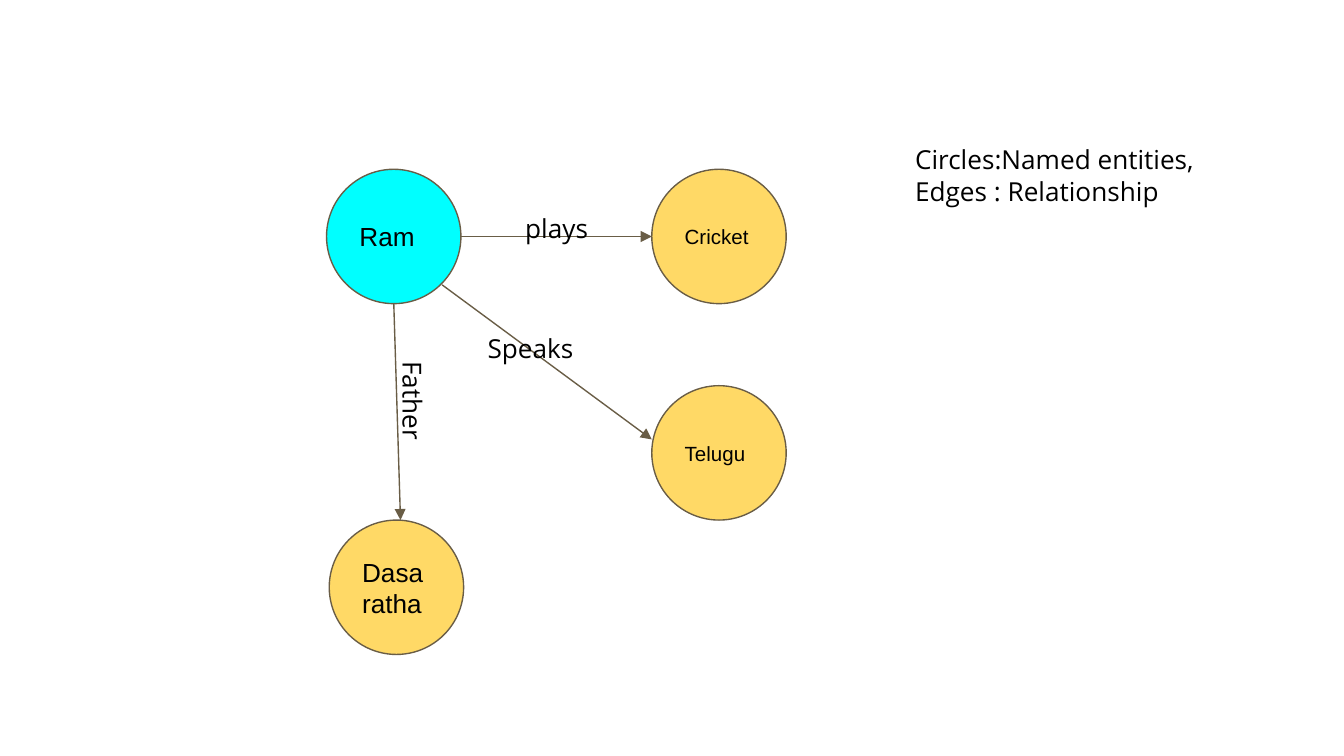
"""Build a slide with a small knowledge graph of named entities and relationships."""
from dataclasses import dataclass

from lxml import etree
from pptx import Presentation
from pptx import util as u
from pptx.dml.color import RGBColor
from pptx.enum import shapes, text
from pptx.oxml.ns import qn

COLUMNS = 10
ROWS = COLUMNS * 9 / 16
CELL = u.Inches(1)
INSET = u.Inches(0.1)
LINE_WIDTH = u.Pt(0.75)
BLACK = RGBColor(0x00, 0x00, 0x00)
CYAN = RGBColor(0x00, 0xFF, 0xFF)
YELLOW = RGBColor(0xFF, 0xD9, 0x66)
BROWN = RGBColor(0x69, 0x5D, 0x46)
ELLIPSE = shapes.MSO_SHAPE.OVAL
CONNECTOR = shapes.MSO_SHAPE.FLOWCHART_CONNECTOR


@dataclass(frozen=True)
class Entity:
    """A one-cell circle with a name."""
    name: str
    column: float
    row: float
    size: int = 11
    fill: RGBColor = YELLOW
    preset: shapes.MSO_SHAPE = ELLIPSE


@dataclass(frozen=True)
class Edge:
    """A straight line between two grid points."""
    start: tuple[float, float]
    end: tuple[float, float]
    arrow: bool = True


@dataclass(frozen=True)
class Label:
    """A text box with one paragraph per line."""
    lines: tuple[str, ...]
    column: float
    row: float
    columns: float
    rows: float = 0.44
    rotation: int = 0


ENTITIES = (
    Entity("Ram", 2.43, 1.26, 14, CYAN),
    Entity("Cricket", 4.85, 1.26),
    Entity("Telugu", 4.85, 2.87),
    Entity("Dasaratha", 2.45, 3.87, 14, preset=CONNECTOR),
)
EDGES = (
    Edge((3.43, 1.76), (4.85, 1.76), arrow=False),
    Edge((3.43, 1.76), (4.85, 1.76)),
    Edge((3.29, 2.12), (4.85, 3.27)),
    Edge((2.93, 2.26), (2.98, 3.87)),
)
LABELS = (
    Label(("plays",), 3.81, 1.48, 0.96),
    Label(("Speaks",), 3.53, 2.37, 0.96),
    Label(("Father",), 2.49, 2.95, 1.16, rotation=90),
    Label(("Circles:Named entities,", "Edges : Relationship"), 6.71, 0.97, 2.92, 0.67),
)


def grid(cells: float) -> u.Emu:
    """Turn a count of grid cells into a length."""
    return u.Emu(round(cells * CELL))


def write(frame, lines: tuple[str, ...], font: str, size: int, anchor) -> None:
    """Fill a text frame with left-aligned black lines."""
    frame.word_wrap = True
    frame.vertical_anchor = anchor
    frame.margin_left = frame.margin_right = INSET
    frame.margin_top = frame.margin_bottom = INSET
    for index, line in enumerate(lines):
        paragraph = frame.add_paragraph() if index else frame.paragraphs[0]
        paragraph.alignment = text.PP_ALIGN.LEFT
        run = paragraph.add_run()
        run.text = line
        run.font.name = font
        run.font.size = u.Pt(size)
        run.font.color.rgb = BLACK


def draw_entity(slide, entity: Entity) -> None:
    """Draw a circle with its name."""
    shape = slide.shapes.add_shape(
        entity.preset, grid(entity.column), grid(entity.row), CELL, CELL)
    shape.shadow.inherit = False
    shape.fill.solid()
    shape.fill.fore_color.rgb = entity.fill
    shape.line.color.rgb = BROWN
    shape.line.width = LINE_WIDTH
    write(shape.text_frame, (entity.name,), "Arial", entity.size, text.MSO_ANCHOR.MIDDLE)


def draw_edge(slide, edge: Edge) -> None:
    """Draw a line, with an arrowhead at its end if asked for."""
    connector = slide.shapes.add_connector(
        shapes.MSO_CONNECTOR.STRAIGHT, *map(grid, edge.start + edge.end))
    connector.line.color.rgb = BROWN
    connector.line.width = LINE_WIDTH
    if edge.arrow:
        outline = connector.line._get_or_add_ln()
        etree.SubElement(outline, qn("a:tailEnd"), type="triangle", w="med", len="med")
    etree.SubElement(connector._element.spPr, qn("a:effectLst"))


def draw_label(slide, label: Label) -> None:
    """Draw a text box."""
    shape = slide.shapes.add_textbox(
        *map(grid, (label.column, label.row, label.columns, label.rows)))
    shape.rotation = label.rotation
    write(shape.text_frame, label.lines, "Open Sans", 14, text.MSO_ANCHOR.TOP)
    shape.text_frame.auto_size = text.MSO_AUTO_SIZE.SHAPE_TO_FIT_TEXT


def main() -> None:
    """Build and save the presentation."""
    presentation = Presentation()
    presentation.slide_width = grid(COLUMNS)
    presentation.slide_height = grid(ROWS)
    slide = presentation.slides.add_slide(presentation.slide_layouts[6])
    for entity in ENTITIES:
        draw_entity(slide, entity)
    for edge in EDGES:
        draw_edge(slide, edge)
    for label in LABELS:
        draw_label(slide, label)
    presentation.save("out.pptx")


if __name__ == "__main__":
    main()
